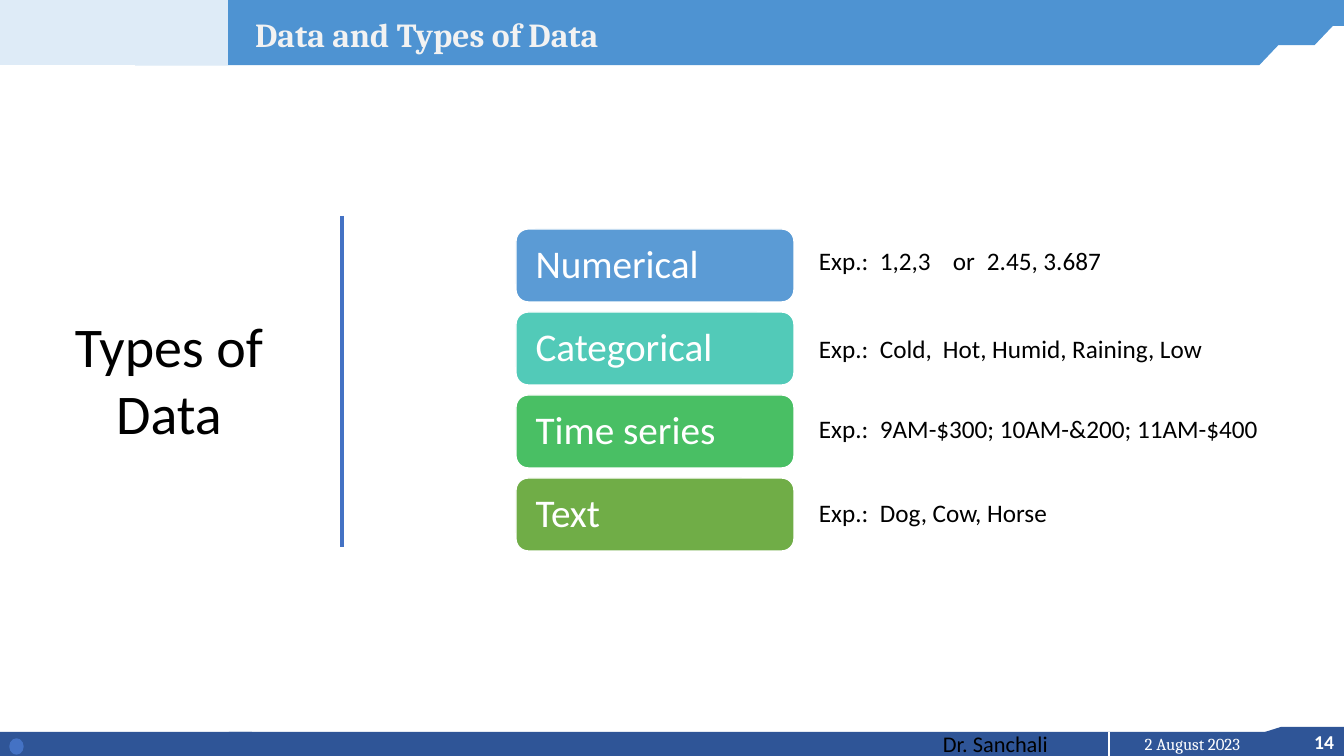
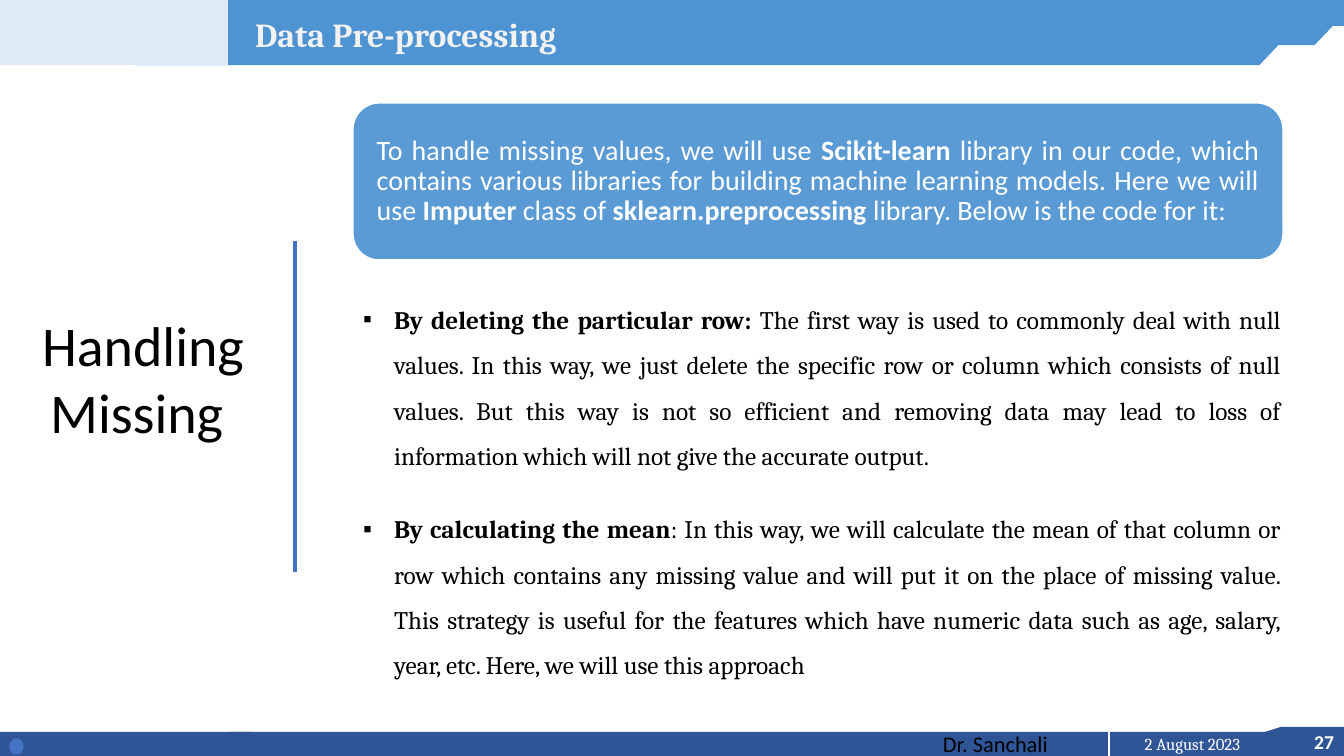
from lxml import etree
from pptx import Presentation
from pptx.dml.color import RGBColor
from pptx.enum.shapes import MSO_CONNECTOR, MSO_SHAPE as Preset
from pptx.enum.text import MSO_ANCHOR as Anchor, MSO_AUTO_SIZE as AutoSize, PP_ALIGN as Align
from pptx.oxml.ns import qn
from pptx.util import Emu, Pt

WIDTH, HEIGHT = 1344, 756
EMU_PER_PX = 914400 / 100.8
TITLE_ONLY, TITLE_AND_CONTENT = 5, 1
SANS, SERIF = "Calibri", "Cambria"
COLORS = {
    "banner": "4E93D2", "corner": "DEEBF7", "footer": "2F5597", "accent": "4472C4",
    "title": "F2F2F2", "white": "FFFFFF", "black": "000000",
    "blue": "5B9BD5", "teal": "52CAB8", "green": "49BF64", "olive": "70AD47",
}

# Slide content
DATA_TYPES = [  # name, colour, top of example, example, tab stops
    ("Numerical", "blue", 240, "Exp.:\t1,2,3\tor\t2.45, 3.687", (61, 134, 168)),
    ("Categorical", "teal", 328, "Exp.:\tCold,\tHot, Humid, Raining, Low", (61, 124)),
    ("Time series", "green", 408, "Exp.:\t9AM-$300; 10AM-&200; 11AM-$400", (61,)),
    ("Text", "olive", 492, "Exp.:\tDog, Cow, Horse", (61,)),
]
LIBRARY_NOTE = [  # text, bold
    ("To handle missing values, we will use ", False),
    ("Scikit-learn", True),
    (" library in our code, which contains various libraries for building "
     "machine learning models. Here we will use ", False),
    ("Imputer", True),
    (" class of ", False),
    ("sklearn.preprocessing", True),
    (" library. Below is the code for it:", False),
]
METHODS = [
    [("By deleting the particular row: ", True),
     ("The first way is used to commonly deal with null values. In this way, we just "
      "delete the specific row or column which consists of null values. But this way is "
      "not so efficient and removing data may lead to loss of information which will not "
      "give the accurate output.", False)],
    [("By calculating the mean", True),
     (": In this way, we will calculate the mean of that column or row which contains any "
      "missing value and will put it on the place of missing value. This strategy is "
      "useful for the features which have numeric data such as age, salary, year, etc. "
      "Here, we will use this approach", False)],
]


# Basic helpers
def px(length):
    return Emu(round(length * EMU_PER_PX))


def color(name):
    return RGBColor.from_string(COLORS[name])


def write(paragraph, runs, size, ink="black", font=SANS, align=Align.LEFT):
    paragraph.alignment = align
    for text, bold in runs:
        run = paragraph.add_run()
        run.text = text
        run.font.name = font
        run.font.size = Pt(size)
        run.font.bold = bold
        run.font.color.rgb = color(ink)


def place(shape, left, top, width, height):
    shape.left, shape.top = px(left), px(top)
    shape.width, shape.height = px(width), px(height)


def add_block(slide, preset, box, fill, outline=None):
    block = slide.shapes.add_shape(preset, *map(px, box))
    block.shadow.inherit = False
    block.fill.solid()
    block.fill.fore_color.rgb = color(fill)
    if outline:
        block.line.color.rgb = color(outline)
        block.line.width = Pt(1)
    else:
        block.line.fill.background()
    return block


def add_label(slide, box, text, size, bold=False, anchor=Anchor.TOP, **style):
    frame = slide.shapes.add_textbox(*map(px, box)).text_frame
    frame.word_wrap = True
    frame.vertical_anchor = anchor
    write(frame.paragraphs[0], [(text, bold)], size, **style)
    return frame.paragraphs[0]


def add_rule(slide, x, top, bottom, ink, weight):
    rule = slide.shapes.add_connector(
        MSO_CONNECTOR.STRAIGHT, px(x), px(top), px(x), px(bottom))
    rule.line.color.rgb = color(ink)
    rule.line.width = Pt(weight)
    etree.SubElement(rule.element.spPr, qn("a:effectLst"))


def add_card(slide, box, fill, runs, size, align=Align.LEFT):
    card = add_block(slide, Preset.ROUNDED_RECTANGLE, box, fill, "white")
    frame = card.text_frame
    frame.word_wrap = True
    frame.vertical_anchor = Anchor.MIDDLE
    frame.margin_left = frame.margin_right = px(16)
    frame.margin_top = frame.margin_bottom = px(8)
    write(frame.paragraphs[0], runs, size, "white", align=align)
    frame.paragraphs[0].line_spacing = 0.9


def set_tabs(paragraph, stops):
    tabs = etree.SubElement(paragraph._p.get_or_add_pPr(), qn("a:tabLst"))
    for stop in stops:
        etree.SubElement(tabs, qn("a:tab"), pos=str(px(stop)), algn="l")


def set_bullet(paragraph, char, indent):
    props = paragraph._p.get_or_add_pPr()
    props.set("marL", str(px(indent)))
    props.set("indent", str(px(-indent)))
    etree.SubElement(props, qn("a:buChar"), char=char)


# Parts every slide shares
def add_banner(slide):
    for box, slant in (((183, 0, 1161, 26), 0),
                       ((195, 11, 1152, 34), 0.95),
                       ((135, 36, 1152, 29), 0.95)):
        add_block(slide, Preset.PARALLELOGRAM, box, "banner").adjustments[0] = slant
    add_block(slide, Preset.RECTANGLE, (0, 0, 228, 65), "corner")


def add_footer(slide, number):
    add_block(slide, Preset.FLOWCHART_CARD, (1265, 727, 79, 25), "footer")
    add_block(slide, Preset.RECTANGLE, (0, 732, 252, 24), "footer")
    author_bar = add_block(slide, Preset.RECTANGLE, (229, 732, 1115, 24), "footer")
    author = author_bar.text_frame
    author.margin_left = px(714)
    author.margin_top = author.margin_bottom = 0
    author.vertical_anchor = Anchor.MIDDLE
    write(author.paragraphs[0], [("Dr. Sanchali", False)], 16)
    add_label(slide, (1253, 725, 91, 34), number, 14, True,
              ink="white", align=Align.RIGHT)
    add_label(slide, (1109, 729, 167, 30), "2 August 2023", 12,
              ink="white", font=SERIF, align=Align.CENTER)
    add_rule(slide, 1109, 732, HEIGHT, "white", 1.5)
    add_block(slide, Preset.FLOWCHART_CONNECTOR, (10, 739, 13, 15), "accent", "accent")


def set_title(slide, text):
    title = slide.shapes.title
    place(title, 245, 9, 1060, 50)
    title.text_frame.auto_size = AutoSize.NONE
    title.text_frame.vertical_anchor = Anchor.TOP
    write(title.text_frame.paragraphs[0], [(text, True)], 24, "title", SERIF)
    title.element.getparent().append(title.element)  # bring in front of the banner


def start_slide(prs, layout, title, number):
    slide = prs.slides.add_slide(prs.slide_layouts[layout])
    add_footer(slide, number)
    add_banner(slide)
    set_title(slide, title)
    return slide


def add_side_heading(slide, box, text, rule_x, rule_top):
    add_label(slide, box, text, 40, anchor=Anchor.MIDDLE, align=Align.CENTER)
    add_rule(slide, rule_x, rule_top, rule_top + 331, "accent", 3)


# Slides
def build_data_types(prs):
    slide = start_slide(prs, TITLE_ONLY, "Data and Types of Data", "14")
    add_side_heading(slide, (23, 71, 292, 616), "Types of Data", 342, 216)
    for row, (name, fill, example_top, example, stops) in enumerate(DATA_TYPES):
        add_card(slide, (516, 229 + 83 * row, 278, 73), fill, [(name, False)], 28)
        set_tabs(add_label(slide, (809, example_top, 496, 40), example, 18), stops)


def build_missing_values(prs):
    slide = start_slide(prs, TITLE_AND_CONTENT, "Data Pre-processing", "27")
    add_side_heading(slide, (10, 103, 266, 550), "Handling Missing ", 295, 241)
    add_card(slide, (353, 103, 930, 157), "blue", LIBRARY_NOTE, 20, Align.JUSTIFY)

    methods = slide.placeholders[1]
    place(methods, 353, 284, 938, 399)
    frame = methods.text_frame
    frame.auto_size = AutoSize.NONE
    for index, runs in enumerate(METHODS):
        paragraph = frame.add_paragraph() if index else frame.paragraphs[0]
        write(paragraph, runs, 18, font=SERIF, align=Align.JUSTIFY)
        paragraph.line_spacing = 1.5
        paragraph.space_before = Pt(20 if index else 0)
        set_bullet(paragraph, "▪", 31)


def main():
    prs = Presentation()
    prs.slide_width, prs.slide_height = px(WIDTH), px(HEIGHT)
    build_data_types(prs)
    build_missing_values(prs)
    prs.save("out.pptx")


if __name__ == "__main__":
    main()
